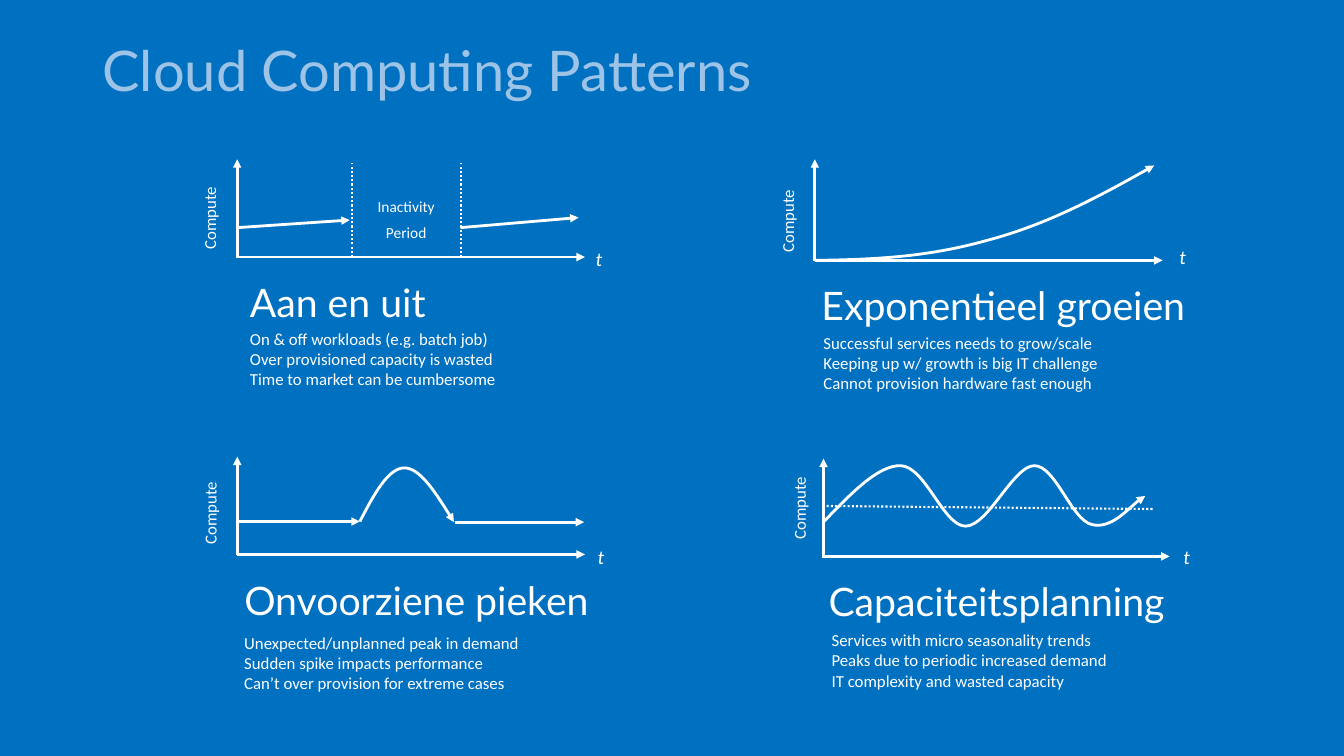
from dataclasses import dataclass
from typing import Optional

from lxml import etree
from pptx import Presentation, util as u
from pptx.dml.color import RGBColor
from pptx.enum import dml, shapes, text
from pptx.oxml import ns

WHITE = RGBColor(0xFF, 0xFF, 0xFF)
BLUE = RGBColor(0x00, 0x70, 0xC0)
PALE = RGBColor(0x9D, 0xC3, 0xE6)

# The slide is a grid of 160 columns by 90 rows of square cells.
COLS, ROWS = 160, 90
CELL = u.Inches(1) // 12
REACH = 41.4

Point = tuple[float, float]


@dataclass
class Stroke:
    """Two points make a line, 3n + 1 a Bezier curve; cells right of and above the origin."""
    points: list[Point]
    dotted: bool = False


@dataclass
class Style:
    size: float
    face: str = "Calibri"
    color: RGBColor = WHITE
    italic: bool = False
    align: text.PP_ALIGN = text.PP_ALIGN.LEFT
    pitch: Optional[float | u.Pt] = None
    after: float = 0
    inset: Point = (0, 0)
    anchor: text.MSO_ANCHOR = text.MSO_ANCHOR.TOP


@dataclass
class Block:
    """Text lines with the place and size of their box."""
    lines: list[str]
    at: Point
    size: Point


@dataclass
class Pattern:
    origin: Point
    head: Block
    body: Block
    strokes: list[Stroke]
    time: Point
    label: Point
    rise: float = 11.64
    left: float = 0
    pause: Optional[Block] = None


TIGHT = u.Pt(10.7)
MID = text.PP_ALIGN.CENTER
TITLE = Style(40, "Lato", PALE, pitch=0.9, inset=(1.2, 0.6), anchor=text.MSO_ANCHOR.MIDDLE)
HEAD = Style(28, "Lato", pitch=0.9, inset=(0, 0.6))
BODY = Style(12)
TIME = Style(14, italic=True)
LABEL = Style(12, align=MID, pitch=TIGHT, inset=(1.2, 0.6))
PAUSE = Style(11, align=MID, pitch=TIGHT, after=8, inset=(1.2, 2.44))

PATTERNS = [
    Pattern((28.24, 30.6),
            Block(["Aan en uit"], (29.76, 33.12), (39.96, 6.36)),
            Block(["On & off workloads (e.g. batch job)",
                   "Over provisioned capacity is wasted",
                   "Time to market can be cumbersome"], (29.76, 39.12), (47.4, 7.32)),
            [Stroke([(0, 3.5), (13.4, 4.4)]),
             Stroke([(26.6, 3.5), (40.64, 4.7)]),
             Stroke([(13.64, 0), (13.64, 11.16)], True),
             Stroke([(26.64, 0), (26.64, 11.16)], True)],
            time=(42.68, 1.2), label=(-2.9, 4.64),
            pause=Block(["Inactivity", "Period"], (41.04, 21.48), (14.64, 8.16))),
    Pattern((97, 31),
            Block(["Exponentieel groeien"], (97.8, 33.48), (54.36, 11.4)),
            Block(["Successful services needs to grow/scale",
                   "Keeping up w/ growth is big IT challenge",
                   "Cannot provision hardware fast enough"], (98.04, 39.6), (54.36, 7.32)),
            [Stroke([(0, 0), (7.9, 0.1), (13.8, 0.5), (20.6, 2.4),
                     (27.4, 4.2), (33.9, 7.6), (40.4, 11.3)])],
            time=(43.4, 1.84), label=(-2.86, 4.66), rise=12.04),
    Pattern((28.24, 66),
            Block(["Onvoorziene pieken"], (29.08, 68.64), (50.16, 6.36)),
            Block(["Unexpected/unplanned peak in demand",
                   "Sudden spike impacts performance",
                   "Can’t over provision for extreme cases"], (29.08, 75.34), (39.96, 7.32)),
            [Stroke([(0, 3.92), (14.6, 3.92)]),
             Stroke([(14.6, 3.92), (16.3, 7.2), (18, 10.3), (19.9, 10.3),
                     (21.7, 10.3), (23.8, 7.1), (25.8, 3.84)]),
             Stroke([(25.9, 3.84), (41.3, 3.84)])],
            time=(42.92, 1.08), label=(-2.86, 4.9)),
    Pattern((98.04, 66.24),
            Block(["Capaciteitsplanning"], (98.64, 68.76), (51.72, 6.36)),
            Block(["Services with micro seasonality trends",
                   "Peaks due to periodic increased demand",
                   "IT complexity and wasted capacity"], (99, 75), (41.88, 7.32)),
            [Stroke([(0, 4.1), (3.2, 7.4), (6.5, 10.9), (9.2, 10.8),
                     (12.1, 10.7), (14.3, 3.6), (16.9, 3.6),
                     (19.6, 3.6), (22.6, 10.8), (25.1, 10.8),
                     (27.6, 10.8), (29.5, 4.4), (31.9, 3.8),
                     (34.2, 3.2), (37.1, 6.6), (38.3, 7.2)]),
             Stroke([(0.36, 6), (39.24, 5.64)], True)],
            time=(42.84, 1.32), label=(-2.52, 5.76), left=-0.2),
]


def emu(cells: float) -> int:
    return round(cells * CELL)


def shift(origin: Point, point: Point) -> Point:
    """Place a point given right of and above the origin."""
    return origin[0] + point[0], origin[1] - point[1]


def write(group, block: Block, style: Style):
    box = group.add_textbox(*map(emu, (*block.at, *block.size)))
    frame = box.text_frame
    frame.word_wrap = True
    frame.vertical_anchor = style.anchor
    frame.margin_left = frame.margin_right = emu(style.inset[0])
    frame.margin_top = frame.margin_bottom = emu(style.inset[1])
    frame.text = "\n".join(block.lines)
    for para in frame.paragraphs:
        para.alignment = style.align
        para.line_spacing = style.pitch
        para.space_after = u.Pt(style.after)
        font = para.font
        font.size, font.name, font.italic = u.Pt(style.size), style.face, style.italic
        font.color.rgb = style.color
    return box


def bend(shape) -> None:
    """Join each three straight segments into one cubic Bezier segment."""
    legs = list(shape._element.iter(ns.qn("a:lnTo")))
    for i in range(0, len(legs), 3):
        curve = etree.Element(ns.qn("a:cubicBezTo"))
        legs[i].addprevious(curve)
        for leg in legs[i:i + 3]:
            curve.append(leg[0])
            leg.getparent().remove(leg)


def draw(group, origin: Point, stroke: Stroke) -> None:
    spots = [tuple(map(emu, shift(origin, p))) for p in stroke.points]
    if len(spots) > 2:
        pen = group.build_freeform(*spots[0])
        pen.add_line_segments(spots[1:], close=False)
        shape = pen.convert_to_shape()
        bend(shape)
        shape.fill.background()
    else:
        shape = group.add_connector(shapes.MSO_CONNECTOR.STRAIGHT, *spots[0], *spots[1])
    line = shape.line
    line.color.rgb = WHITE
    line.width = u.Pt(1.5 if stroke.dotted else 2)
    if stroke.dotted:
        line.dash_style = dml.MSO_LINE.ROUND_DOT
    else:
        etree.SubElement(line._get_or_add_ln(), ns.qn("a:tailEnd"), type="triangle")
    etree.SubElement(shape._element.spPr, ns.qn("a:effectLst"))


def show(slide, plan: Pattern) -> None:
    """Draw one pattern: a group for its graph and a group for its text."""
    graph = slide.shapes.add_group_shape().shapes
    axes = [Stroke([(0, -0.1), (0, plan.rise)]),
            Stroke([(plan.left, 0), (plan.left + REACH, 0)])]
    for stroke in axes + plan.strokes:
        draw(graph, plan.origin, stroke)
    write(graph, Block(["t"], shift(plan.origin, plan.time), (15, 1.8)), TIME)
    wide, high = 13.4, 3.12
    x, y = shift(plan.origin, plan.label)
    label = write(graph, Block(["Compute"], (x - wide / 2, y - high / 2), (wide, high)), LABEL)
    label.rotation = 270
    if plan.pause:
        write(graph, plan.pause, PAUSE)
    words = slide.shapes.add_group_shape().shapes
    write(words, plan.head, HEAD)
    write(words, plan.body, BODY)


def main() -> None:
    deck = Presentation()
    deck.slide_width, deck.slide_height = COLS * CELL, ROWS * CELL
    slide = deck.slides.add_slide(deck.slide_layouts[6])
    back = slide.background.fill
    back.solid()
    back.fore_color.rgb = BLUE
    for plan in PATTERNS:
        show(slide, plan)
    write(slide.shapes, Block(["Cloud Computing Patterns"], (11.04, 0), (138, 17.4)), TITLE)
    deck.save("out.pptx")


if __name__ == "__main__":
    main()
